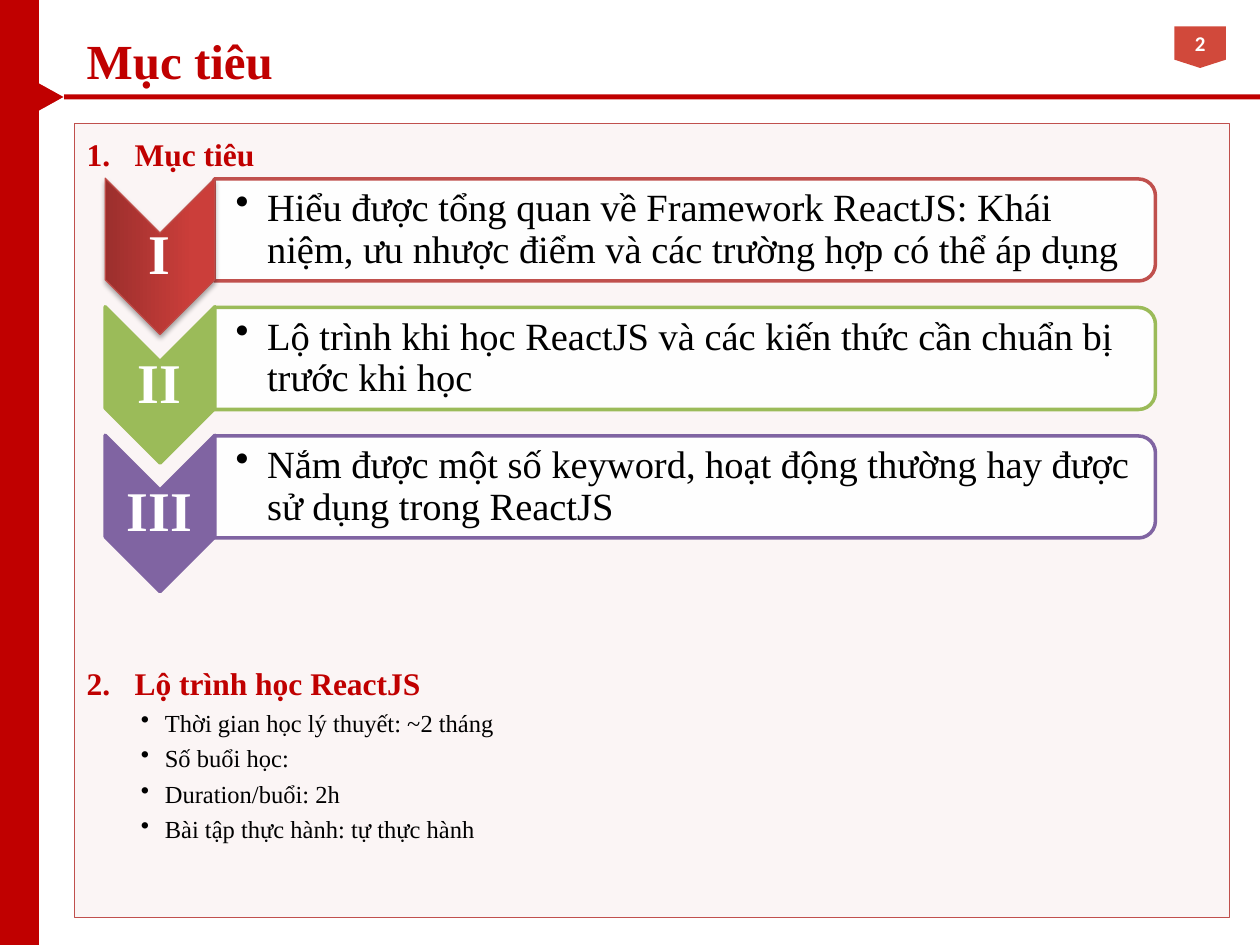
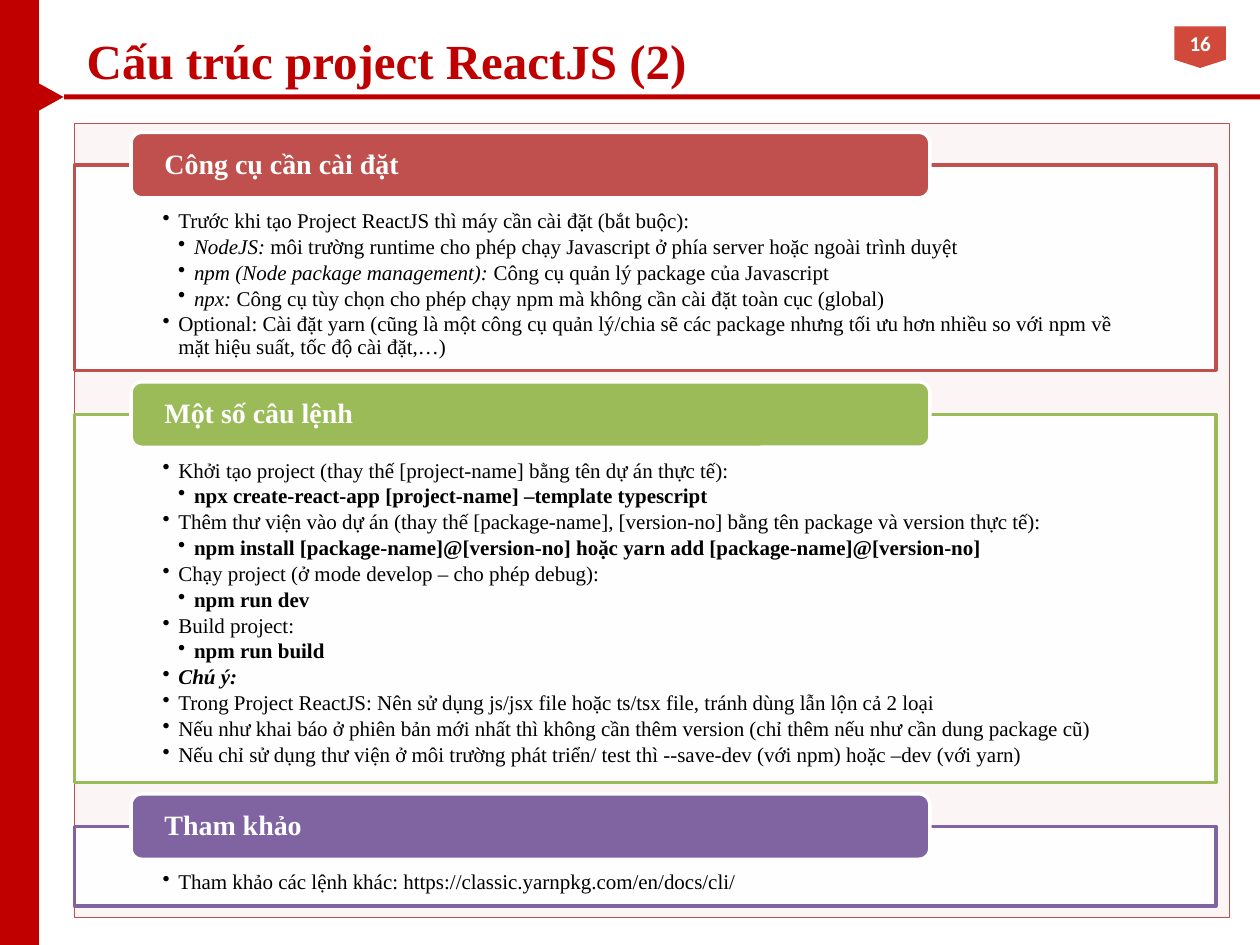
from dataclasses import dataclass

from lxml.etree import SubElement
from pptx import Presentation
from pptx.dml.color import RGBColor
from pptx.enum.shapes import MSO_SHAPE
from pptx.enum.text import MSO_ANCHOR, PP_ALIGN
from pptx.oxml.ns import qn
from pptx.util import Inches, Pt


@dataclass(frozen=True)
class Theme:
    red: str = "C00000"
    badge: str = "D1493B"
    panel: str = "F2DCDB"
    white: str = "FFFFFF"
    black: str = "000000"
    accents: tuple = ("C0504D", "9BBB59", "8064A2")
    chevron_gradient: tuple = ("9C2F2D", "CB3E3A")
    chevron_edge: str = "BF4C48"
    serif: str = "Times New Roman"
    sans: str = "Calibri"
    title: int = 28
    numeral: int = 32
    goal: int = 22
    heading: int = 18
    section: int = 16
    detail: int = 14
    small: int = 12


@dataclass(frozen=True)
class Item:
    text: str
    depth: int = 1
    lead: str = ""
    bold: bool = False
    italic: bool = False


THEME = Theme()


def add_span(para, text, size=THEME.small, color=THEME.black, font=THEME.serif,
             bold=False, italic=False):
    span = para.add_run()
    span.text = text
    span.font.name = font
    span.font.size = Pt(size)
    span.font.bold = bold
    span.font.italic = italic
    span.font.color.rgb = RGBColor.from_string(color)


class SlideBuilder:
    def __init__(self, deck, theme):
        self.deck = deck
        self.theme = theme
        self.page = None

    def start_page(self, title, number):
        theme = self.theme
        self.page = self.deck.slides.add_slide(self.deck.slide_layouts[6])
        self.shape(MSO_SHAPE.RECTANGLE, 0.59, 0.98, 9.17, 6.3, theme.panel,
                   line=theme.accents[0], weight=0.5, opacity=26)
        self.shape(MSO_SHAPE.ISOSCELES_TRIANGLE, 0.24, 0.63, 0.31, 0.28, theme.red,
                   line=theme.white, rotation=90)
        self.shape(MSO_SHAPE.RECTANGLE, 0, 0, 0.31, 7.5, theme.red)
        badge = self.shape(MSO_SHAPE.FLOWCHART_OFFPAGE_CONNECTOR, 9.32, 0.21, 0.41, 0.33,
                           theme.badge)
        frame = self.frame(badge, (0, 0, 0, 0), MSO_ANCHOR.MIDDLE)
        add_span(self.para(frame, align=PP_ALIGN.CENTER), str(number), font=theme.sans,
                 color=theme.white, bold=True)
        self.shape(MSO_SHAPE.RECTANGLE, 0.51, 0.75, 9.49, 0.04, theme.red)
        frame = self.text_box(0.59, 0.16, 9.06, 0.63, anchor=MSO_ANCHOR.MIDDLE)
        add_span(self.para(frame), title, size=theme.title, color=theme.red, bold=True)

    def shape(self, kind, left, top, width, height, fill, line=None, weight=2,
              opacity=None, rotation=0):
        shape = self.page.shapes.add_shape(
            kind, Inches(left), Inches(top), Inches(width), Inches(height))
        shape.shadow.inherit = False
        shape.rotation = rotation
        shape.fill.solid()
        shape.fill.fore_color.rgb = RGBColor.from_string(fill)
        if opacity is not None:
            color = shape.element.spPr.find(".//" + qn("a:srgbClr"))
            SubElement(color, qn("a:alpha"), val=str(opacity * 1000))
        if line:
            shape.line.color.rgb = RGBColor.from_string(line)
            shape.line.width = Pt(weight)
        else:
            shape.line.fill.background()
        return shape

    def frame(self, box, insets, anchor):
        frame = box.text_frame
        frame.word_wrap = True
        frame.vertical_anchor = anchor
        (frame.margin_left, frame.margin_top,
         frame.margin_right, frame.margin_bottom) = map(Inches, insets)
        return frame

    def text_box(self, left, top, width, height, insets=(0.1, 0.05, 0.1, 0.05),
                 anchor=MSO_ANCHOR.TOP):
        box = self.page.shapes.add_textbox(
            Inches(left), Inches(top), Inches(width), Inches(height))
        return self.frame(box, insets, anchor)

    def para(self, frame, align=PP_ALIGN.LEFT, spacing=1.0, before=0, after=0,
             indent=0, hanging=0, bullet=None, number=None):
        first = frame.paragraphs[0]
        para = frame.add_paragraph() if first.runs else first
        properties = para._p.get_or_add_pPr()
        properties.set("marL", str(Inches(indent)))
        properties.set("indent", str(-Inches(hanging)))
        if bullet:
            SubElement(properties, qn("a:buChar"), char=bullet)
        if number:
            SubElement(properties, qn("a:buAutoNum"), type="arabicPeriod",
                       startAt=str(number))
        para.alignment = align
        para.line_spacing = spacing
        para.space_before = Pt(before)
        para.space_after = Pt(after)
        return para

    def numbered_block(self, top, height, number, heading, details=()):
        theme = self.theme
        frame = self.text_box(0.59, top, 9.06, height)
        add_span(self.para(frame, indent=0.38, hanging=0.38, number=number), heading,
                 size=theme.heading, color=theme.red, bold=True)
        for detail in details:
            para = self.para(frame, before=3.5, indent=0.62, hanging=0.19, bullet="•")
            add_span(para, detail, size=theme.detail)

    def goal(self, top, numeral, text, accent):
        theme = self.theme
        self.shape(MSO_SHAPE.ROUND_2_SAME_RECTANGLE, 5.03, top - 3.33, 0.81, 7.47,
                   theme.white, line=accent, opacity=90, rotation=90)
        chevron = self.shape(MSO_SHAPE.CHEVRON, 0.65, top + 0.18, 1.24, 0.87, accent,
                             line=accent, rotation=90)
        frame = self.text_box(0.83, top + 0.43, 0.87, 0.37, (0.02,) * 4, MSO_ANCHOR.MIDDLE)
        add_span(self.para(frame, align=PP_ALIGN.CENTER, spacing=0.9), numeral,
                 size=theme.numeral, color=theme.white, bold=True)
        frame = self.text_box(1.7, top + 0.04, 7.43, 0.73, (0.17, 0.02, 0.02, 0.02),
                              MSO_ANCHOR.MIDDLE)
        para = self.para(frame, spacing=0.9, indent=0.25, hanging=0.25, bullet="•")
        add_span(para, text, size=theme.goal)
        return chevron

    def highlight(self, chevron):
        theme = self.theme
        chevron.fill.gradient()
        chevron.fill.gradient_angle = 90
        stops = zip(chevron.fill.gradient_stops, (0, 0.8), theme.chevron_gradient)
        for stop, position, color in stops:
            stop.position = position
            stop.color.rgb = RGBColor.from_string(color)
        chevron.line.color.rgb = RGBColor.from_string(theme.chevron_edge)
        chevron.line.width = Pt(0.75)
        effects = chevron.element.spPr.find(qn("a:effectLst"))
        shadow = SubElement(effects, qn("a:outerShdw"), blurRad=str(Pt(3.1)),
                            dist=str(Pt(1.8)), dir="5400000", rotWithShape="0")
        color = SubElement(shadow, qn("a:srgbClr"), val=theme.black)
        SubElement(color, qn("a:alpha"), val="35000")

    def section(self, top, height, heading, items, accent):
        theme = self.theme
        body = self.shape(MSO_SHAPE.RECTANGLE, 0.59, top, 9.06, height, theme.white,
                          line=accent, opacity=90)
        frame = self.frame(body, (0.7, 0.36, 0.7, 0.09), MSO_ANCHOR.TOP)
        for item in items:
            para = self.para(frame, spacing=0.9, after=1.8, indent=0.125 * item.depth,
                             hanging=0.125, bullet="•")
            if item.lead:
                add_span(para, item.lead, italic=True)
            add_span(para, item.text, bold=item.bold, italic=item.italic)
        header = self.shape(MSO_SHAPE.ROUNDED_RECTANGLE, 1.04, top - 0.26, 6.34, 0.52,
                            accent, line=theme.white)
        frame = self.frame(header, (0.24, 0, 0.24, 0), MSO_ANCHOR.MIDDLE)
        add_span(self.para(frame, spacing=0.9), heading, size=theme.section,
                 color=theme.white, bold=True)


GOALS = (
    ("I", "Hiểu được tổng quan về Framework ReactJS: Khái niệm, ưu nhược điểm và "
          "các trường hợp có thể áp dụng"),
    ("II", "Lộ trình khi học ReactJS và các kiến thức cần chuẩn bị trước khi học"),
    ("III", "Nắm được một số keyword, hoạt động thường hay được sử dụng trong ReactJS"),
)

SCHEDULE = (
    "Thời gian học lý thuyết: ~2 tháng",
    "Số buổi học: ",
    "Duration/buổi: 2h",
    "Bài tập thực hành: tự thực hành",
)

SECTIONS = (
    ("Công cụ cần cài đặt", 1.63, (
        Item("Trước khi tạo Project ReactJS thì máy cần cài đặt (bắt buộc):"),
        Item("môi trường runtime cho phép chạy Javascript ở phía server hoặc ngoài "
             "trình duyệt", depth=2, lead="NodeJS: "),
        Item("Công cụ quản lý package của Javascript", depth=2,
             lead="npm (Node package management): "),
        Item("Công cụ tùy chọn cho phép chạy npm mà không cần cài đặt toàn cục (global)",
             depth=2, lead="npx: "),
        Item("Optional: Cài đặt yarn (cũng là một công cụ quản lý/chia sẽ các package "
             "nhưng tối ưu hơn nhiều so với npm về mặt hiệu suất, tốc độ cài đặt,…)"),
    )),
    ("Một số câu lệnh", 2.92, (
        Item("Khởi tạo project (thay thế [project-name] bằng tên dự án thực tế):"),
        Item("npx create-react-app [project-name] –template typescript", depth=2, bold=True),
        Item("Thêm thư viện vào dự án (thay thế [package-name], [version-no] bằng tên "
             "package và version thực tế):"),
        Item("npm install [package-name]@[version-no] hoặc yarn add "
             "[package-name]@[version-no]", depth=2, bold=True),
        Item("Chạy project (ở mode develop – cho phép debug):"),
        Item("npm run dev", depth=2, bold=True),
        Item("Build project:"),
        Item("npm run build", depth=2, bold=True),
        Item("Chú ý:", bold=True, italic=True),
        Item("Trong Project ReactJS: Nên sử dụng js/jsx file hoặc ts/tsx file, tránh "
             "dùng lẫn lộn cả 2 loại"),
        Item("Nếu như khai báo ở phiên bản mới nhất thì không cần thêm version (chỉ "
             "thêm nếu như cần dung package cũ)"),
        Item("Nếu chỉ sử dụng thư viện ở môi trường phát triển/ test thì --save-dev "
             "(với npm) hoặc –dev (với yarn)"),
    )),
    ("Tham khảo", 0.63, (
        Item("Tham khảo các lệnh khác: https://classic.yarnpkg.com/en/docs/cli/"),
    )),
)


def build_goals_page(builder):
    builder.start_page("Mục tiêu", 2)
    builder.numbered_block(1.02, 0.4, 1, "Mục tiêu")
    builder.numbered_block(5.22, 1.6, 2, "Lộ trình học ReactJS", SCHEDULE)
    chevrons = [
        builder.goal(1.42 + 1.02 * row, numeral, text, builder.theme.accents[row])
        for row, (numeral, text) in enumerate(GOALS)
    ]
    builder.highlight(chevrons[0])


def build_structure_page(builder):
    builder.start_page("Cấu trúc project ReactJS (2)", 16)
    top = 1.31
    for (heading, height, items), accent in zip(SECTIONS, builder.theme.accents):
        builder.section(top, height, heading, items, accent)
        top += height + 0.35


def main():
    deck = Presentation()
    deck.slide_width = Inches(10)
    deck.slide_height = Inches(7.5)
    builder = SlideBuilder(deck, THEME)
    build_goals_page(builder)
    build_structure_page(builder)
    deck.save("out.pptx")


if __name__ == "__main__":
    main()
